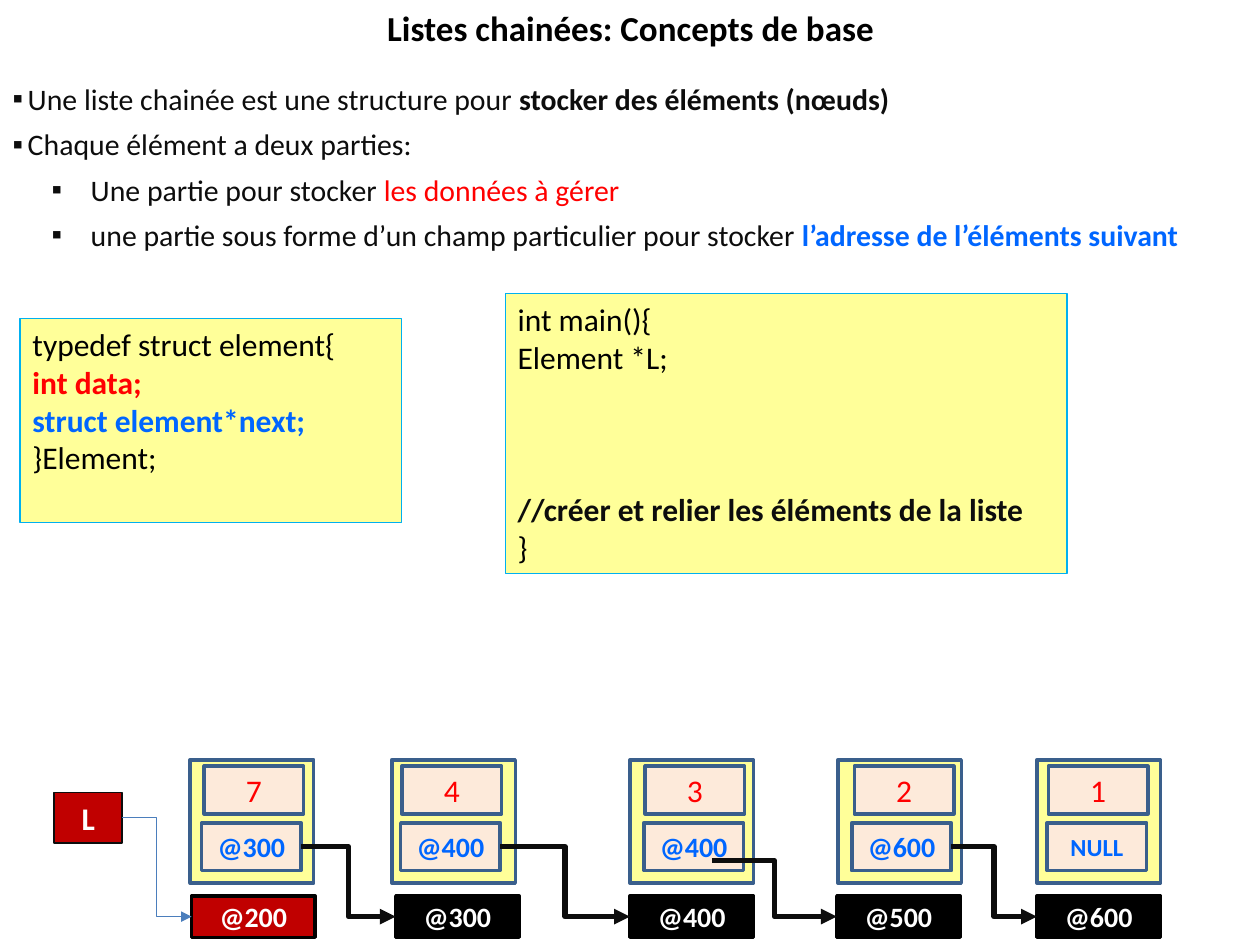
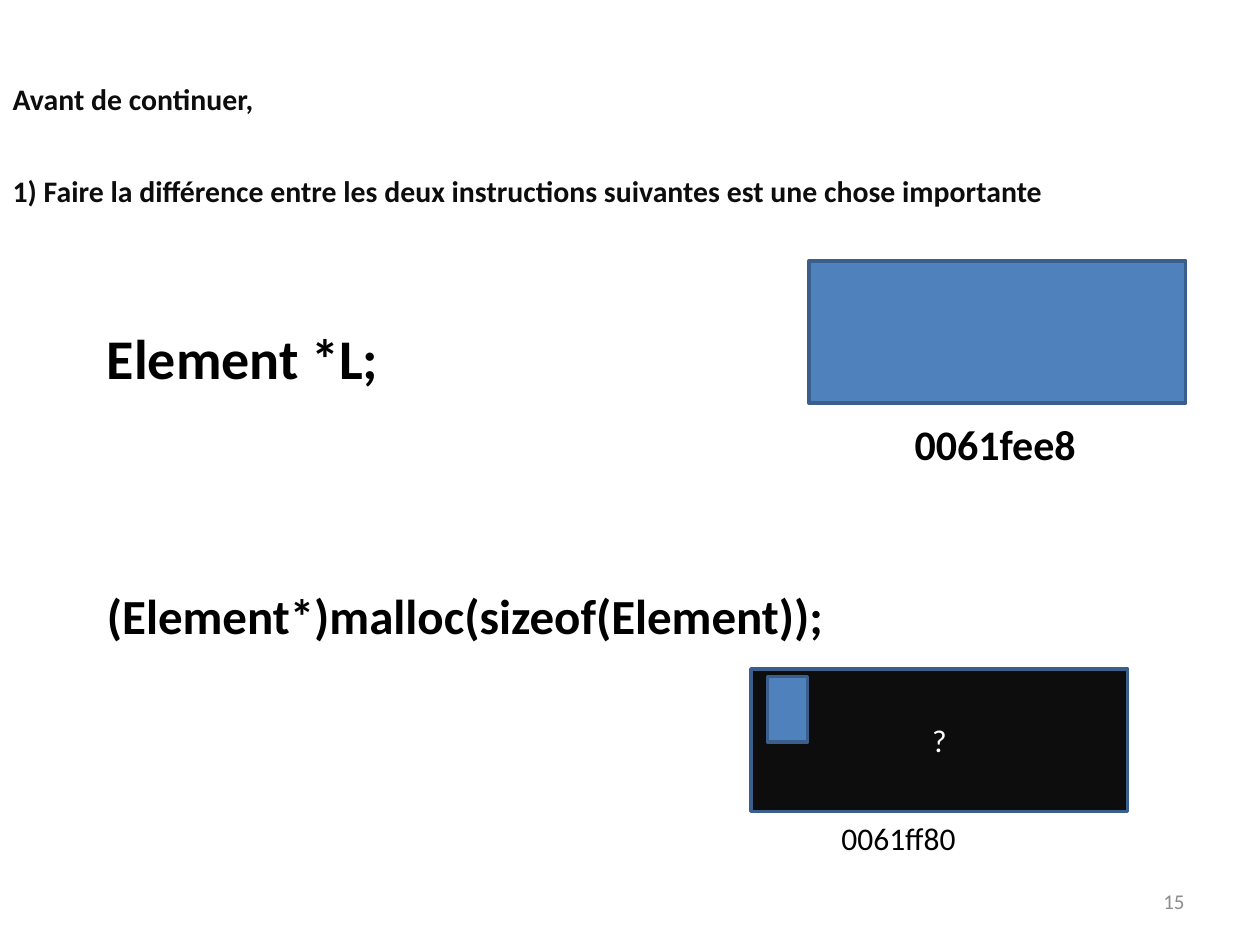
from dataclasses import dataclass
from typing import NamedTuple, Optional

from lxml.etree import SubElement
from pptx import Presentation
from pptx.dml.color import RGBColor
from pptx.enum.shapes import MSO_CONNECTOR as Link, MSO_SHAPE as Kind
from pptx.enum.text import MSO_ANCHOR as Anchor, MSO_AUTO_SIZE as Fit, PP_ALIGN as Align
from pptx.oxml.ns import qn
from pptx.util import Inches, Pt

FONT = "Calibri"
BLACK, INK, WHITE, GREY = "000000", "0D0D0D", "FFFFFF", "8C8C8C"
RED, DARK_RED, BLUE = "FF0000", "C00000", "0066FF"
YELLOW, PEACH, CYAN = "FFFF99", "FDEADA", "00B0F0"
STEEL, NAVY, THIN_BLUE = "4F81BD", "3A5F8C", "4B7EBC"

FRAME_TOP, DATA_TOP, NEXT_TOP, ADDR_TOP = 6.03, 6.08, 6.53, 7.11
NODE_W, FIELD_W, FIELD_H, ADDR_H = 0.98, 0.79, 0.38, 0.33


class Box(NamedTuple):
    left: float
    top: float
    width: float
    height: float


class Run(NamedTuple):
    text: str
    color: str = BLACK
    bold: bool = False


@dataclass
class Para:
    runs: list[Run]
    after: float = 0
    level: int = 0
    mark: str = ""
    margin: float = 0
    hang: float = 0


@dataclass
class Style:
    size: float
    align: Align = Align.LEFT
    anchor: Anchor = Anchor.TOP


@dataclass
class Node:
    """One list element: its field values and the left edge of each part."""
    data: str
    next: str
    addr: str
    frame_x: float
    data_x: float
    next_x: float
    addr_x: float
    fill: str = BLACK
    next_size: int = 16


TITLE = Style(20, Align.CENTER)
BODY = Style(17)
CODE = Style(18)
VALUE = Style(18, Align.CENTER, Anchor.MIDDLE)
ADDRESS = Style(16, Align.CENTER, Anchor.MIDDLE)
BODY_GAP = 5.5

NODES = [
    Node("7", "@300", "@200", 1.51, 1.62, 1.6, 1.52, DARK_RED),
    Node("4", "@400", "@300", 3.11, 3.19, 3.18, 3.14),
    Node("3", "@400", "@400", 5, 5.12, 5.11, 5),
    Node("2", "@600", "@500", 6.65, 6.78, 6.76, 6.64),
    Node("1", "NULL", "@600", 8.23, 8.32, 8.31, 8.23, next_size=14),
]


def rgb(code: str) -> RGBColor:
    return RGBColor.from_string(code)


def line(text: str, color: str = BLACK, bold: bool = False, after: float = 0) -> Para:
    return Para([Run(text, color, bold)], after)


def place(shape, box: Box) -> None:
    shape.left, shape.top, shape.width, shape.height = map(Inches, box)


def set_bullet(par, item: Para) -> None:
    props = par._p.get_or_add_pPr()
    props.set("marL", str(Inches(item.margin)))
    props.set("indent", str(Inches(-item.hang)))
    if item.mark:
        SubElement(props, qn("a:buChar")).set("char", item.mark)
    else:
        SubElement(props, qn("a:buNone"))


def write(shape, items: list[Para], style: Style) -> None:
    frame = shape.text_frame
    frame.word_wrap = True
    frame.auto_size = Fit.NONE
    frame.vertical_anchor = style.anchor
    for pos, item in enumerate(items):
        par = frame.paragraphs[0] if pos == 0 else frame.add_paragraph()
        par.alignment = style.align
        par.level = item.level
        par.space_before = Pt(0)
        par.space_after = Pt(item.after)
        set_bullet(par, item)
        for part in item.runs:
            run = par.add_run()
            run.text = part.text
            run.font.name = FONT
            run.font.size = Pt(style.size)
            run.font.bold = part.bold
            run.font.color.rgb = rgb(part.color)


def add_text(slide, box: Box, items: list[Para], style: Style) -> None:
    write(slide.shapes.add_textbox(*map(Inches, box)), items, style)


def add_rect(slide, box: Box, fill: str, edge: str = NAVY, width: float = 2,
             items: Optional[list[Para]] = None, style: Style = VALUE):
    shape = slide.shapes.add_shape(Kind.RECTANGLE, *map(Inches, box))
    shape.shadow.inherit = False
    shape.fill.solid()
    shape.fill.fore_color.rgb = rgb(fill)
    shape.line.color.rgb = rgb(edge)
    shape.line.width = Pt(width)
    if items:
        write(shape, items, style)
    return shape


def add_link(slide, end, start=None, point: tuple[float, float] = (0, 0),
             color: str = INK, width: float = 3) -> None:
    """Bent arrow from the right side of start, or from a point, to the left of end."""
    goal = end.left, end.top + end.height // 2
    link = slide.shapes.add_connector(Link.ELBOW, *map(Inches, point), *goal)
    if start is not None:
        link.begin_connect(start, 3)
    link.end_connect(end, 1)
    link.line.color.rgb = rgb(color)
    link.line.width = Pt(width)
    SubElement(link.line._get_or_add_ln(), qn("a:tailEnd")).set("type", "triangle")
    SubElement(link._element.spPr, qn("a:effectLst"))


def add_node(slide, node: Node):
    """Draw a list element; return its next field and its address label."""
    add_rect(slide, Box(node.frame_x, FRAME_TOP, NODE_W, NODE_W), YELLOW)
    label = add_rect(slide, Box(node.addr_x, ADDR_TOP, NODE_W, ADDR_H), node.fill, BLACK,
                     items=[line(node.addr, WHITE, True)], style=ADDRESS)
    field = add_rect(slide, Box(node.next_x, NEXT_TOP, FIELD_W, FIELD_H), PEACH,
                     items=[line(node.next, BLUE, True)],
                     style=Style(node.next_size, Align.CENTER, Anchor.MIDDLE))
    add_rect(slide, Box(node.data_x, DATA_TOP, FIELD_W, FIELD_H), PEACH,
             items=[line(node.data, RED)])
    return field, label


def add_chain(slide) -> None:
    parts = [add_node(slide, node) for node in NODES]
    for pos, (_, label) in enumerate(parts[1:]):
        if pos == 2:
            add_link(slide, label, point=(5.65, 6.83))
        else:
            add_link(slide, label, parts[pos][0])
    head = add_rect(slide, Box(0.43, 6.29, 0.54, 0.4), DARK_RED, INK, 0.75,
                    [line("L", WHITE, True)])
    add_link(slide, parts[0][1], head, color=THIN_BLUE, width=0.75)


def bullet(*runs: Run, level: int = 0) -> Para:
    margin, hang = ((0.12, 0.12), (0.62, 0.31))[level]
    return Para(list(runs), BODY_GAP, level, "▪", margin, hang)


def add_basics(deck) -> None:
    slide = deck.slides.add_slide(deck.slide_layouts[1])
    title, body = slide.placeholders
    place(title, Box(0.01, 0, 9.99, 0.44))
    write(title, [line("Listes chainées: Concepts de base", bold=True)], TITLE)
    place(body, Box(0, 0.59, 9.98, 1.5))
    write(body, [
        bullet(Run("Une liste chainée est une structure pour", INK),
               Run(" stocker des éléments (nœuds)", INK, True)),
        bullet(Run("Chaque élément a deux parties:", INK)),
        bullet(Run("Une partie pour stocker ", INK),
               Run("les données à gérer", RED), level=1),
        bullet(Run("une partie sous forme d’un champ particulier pour stocker ", INK),
               Run("l’adresse de l’éléments suivant", BLUE, True), level=1),
    ], BODY)
    add_rect(slide, Box(0.16, 2.53, 3.03, 1.62), YELLOW, CYAN, 0.75, [
        line("typedef struct element{"),
        line("int data;", RED, True),
        line("struct element*next;", BLUE, True),
        line("}Element;"),
    ], CODE)
    add_chain(slide)
    add_rect(slide, Box(4.01, 2.33, 4.46, 2.22), YELLOW, CYAN, 0.75, [
        line("int main(){"),
        line("Element *L;", after=65.5),
        line("//créer et relier les éléments de la liste", INK, True),
        line("}"),
    ], CODE)


def add_memory(deck) -> None:
    slide = deck.slides.add_slide(deck.slide_layouts[1])
    title, body = slide.placeholders
    title._element.getparent().remove(title._element)
    place(body, Box(0, 0.59, 9.98, 1.13))
    write(body, [
        line("Avant de continuer,", INK, True, after=32),
        line("1) Faire la différence entre les deux instructions suivantes "
             "est une chose importante", INK, True, after=BODY_GAP),
    ], BODY)
    add_text(slide, Box(0.75, 2.52, 5, 0.64), [line("Element *L;", bold=True)], Style(32))
    add_text(slide, Box(0.75, 4.6, 6.61, 0.57),
             [line("(Element*)malloc(sizeof(Element));", bold=True)], Style(28))
    add_rect(slide, Box(6.42, 2.07, 2.99, 1.13), STEEL)
    add_text(slide, Box(7.16, 3.27, 1.51, 0.5), [line("0061fee8", bold=True)], Style(24))
    add_text(slide, Box(6.58, 6.45, 1.75, 0.4), [line("0061ff80")], CODE)
    add_rect(slide, Box(5.96, 5.31, 2.99, 1.13), INK, items=[line("?", WHITE)])
    add_rect(slide, Box(6.09, 5.37, 0.32, 0.52), STEEL)
    add_text(slide, Box(7.17, 6.95, 2.33, 0.4), [line("15", GREY)],
             Style(12, Align.RIGHT, Anchor.MIDDLE))


def main() -> None:
    deck = Presentation()
    deck.slide_width, deck.slide_height = Inches(10), Inches(7.5)
    add_basics(deck)
    add_memory(deck)
    deck.save("out.pptx")


if __name__ == "__main__":
    main()
